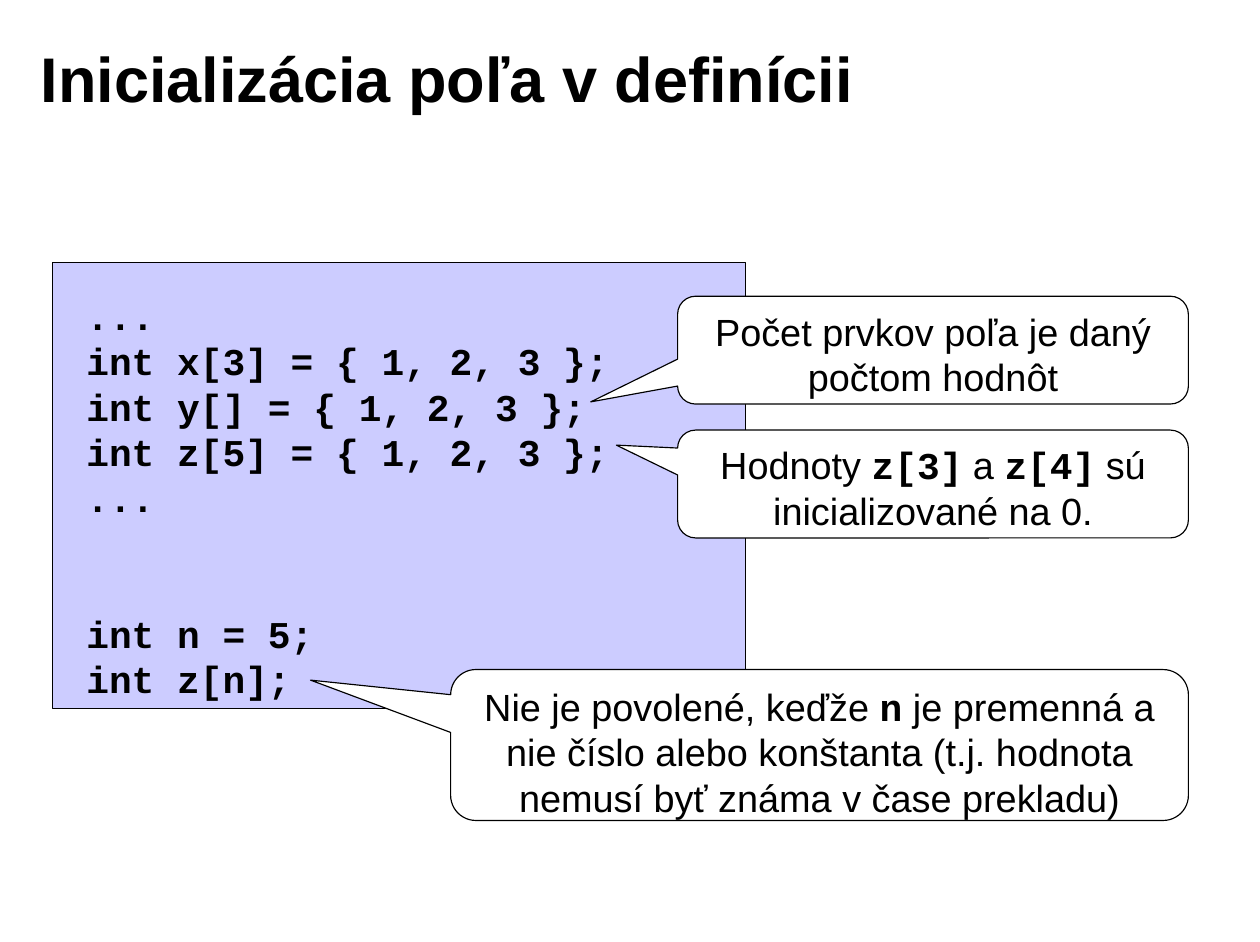
from pptx import Presentation
from pptx import util as u
from pptx.dml.color import RGBColor
from pptx.enum import shapes, text

W, H = u.Inches(11.1), u.Inches(8.3)
SANS, MONO = "Arial", "Courier New"
COLORS = {"ink": "000000", "code": "CCCCFF", "note": "FFFFFF"}
BODY = 24
LEADING = 1.2
RIGHT = 94.32


def rgb(name):
    """Look up a palette colour."""
    return RGBColor.from_string(COLORS[name])


def box(left, top, width, height):
    """Turn percentages of the slide into lengths."""
    return [int(side * share / 100) for side, share in
            ((W, left), (H, top), (W, width), (H, height))]


def set_frame(sp, anchor=text.MSO_ANCHOR.TOP):
    """Set wrapping, margins and anchor, and return the text frame."""
    tf = sp.text_frame
    tf.word_wrap = True
    tf.margin_left = tf.margin_right = u.Inches(0.11)
    tf.margin_top = tf.margin_bottom = u.Inches(0.06)
    tf.vertical_anchor = anchor
    return tf


def set_leading(p, size):
    """Fix the line pitch in proportion to the text size."""
    p.line_spacing = u.Pt(size * LEADING)


def add_run(p, words, font=SANS, size=BODY, bold=False):
    """Append one formatted run."""
    r = p.add_run()
    r.text = words
    r.font.name, r.font.size, r.font.bold = font, u.Pt(size), bold
    r.font.color.rgb = rgb("ink")


def add_panel(s, kind, area, fill):
    """Add a filled shape with a thin outline."""
    sp = s.shapes.add_shape(kind, *box(*area))
    sp.shadow.inherit = False
    sp.fill.solid()
    sp.fill.fore_color.rgb = rgb(fill)
    sp.line.color.rgb = rgb("ink")
    sp.line.width = u.Pt(0.75)
    return sp


def add_title(s, words, area, size=40):
    """Add the slide heading."""
    tf = set_frame(s.shapes.add_textbox(*box(*area)), text.MSO_ANCHOR.MIDDLE)
    p = tf.paragraphs[0]
    set_leading(p, size)
    add_run(p, words, size=size, bold=True)


def add_code(s, blocks, area, gap_lines=2):
    """Add code blocks separated by a gap of whole lines."""
    tf = set_frame(s.shapes.add_textbox(*box(*area)))
    p = tf.paragraphs[0]
    for b, block in enumerate(blocks):
        for i, line in enumerate(block):
            if b or i:
                p = tf.add_paragraph()
            if b and not i:
                p.space_before = u.Pt(gap_lines * BODY * LEADING)
            set_leading(p, BODY)
            add_run(p, line, MONO, bold=True)


def add_callout(s, left, top, height, pointer, parts):
    """Add a callout ending at the right margin; odd parts are code."""
    sp = add_panel(s, shapes.MSO_SHAPE.ROUNDED_RECTANGULAR_CALLOUT,
                   (left, top, RIGHT - left, height), "note")
    for i, value in enumerate((*pointer, 0.167)):
        sp.adjustments[i] = value
    p = set_frame(sp).paragraphs[0]
    p.alignment = text.PP_ALIGN.CENTER
    set_leading(p, BODY)
    for i, words in enumerate(parts):
        is_code = i % 2 == 1
        add_run(p, words, MONO if is_code else SANS, bold=is_code)


def main():
    """Build the slide on array initialisation."""
    prs = Presentation()
    prs.slide_width, prs.slide_height = W, H
    s = prs.slides.add_slide(prs.slide_layouts[6])
    add_title(s, "Inicializácia poľa v definícii", (2.25, 2.05, 80.27, 12.29))
    add_panel(s, shapes.MSO_SHAPE.RECTANGLE, (4.14, 27.83, 55.05, 47.35), "code")
    add_code(s, [
        ["...", "int x[3] = { 1, 2, 3 };", "int y[] = { 1, 2, 3 };",
         "int z[5] = { 1, 2, 3 };", "..."],
        ["int n = 5;", "int z[n];"],
    ], (5.86, 30.36, 52.52, 44.7))
    add_callout(s, 53.78, 31.45, 11.45, (-0.67, 0.48),
                ["Počet prvkov poľa je daný počtom hodnôt"])
    add_callout(s, 53.78, 45.66, 11.45, (-0.62, -0.36),
                ["Hodnoty ", "z[3]", " a ", "z[4]", " sú inicializované na 0."])
    add_callout(s, 35.77, 71.08, 16.02, (-0.69, -0.43),
                ["Nie je povolené, keďže ", "n",
                 " je premenná a nie číslo alebo konštanta "
                 "(t.j. hodnota nemusí byť známa v čase prekladu)"])
    prs.save("out.pptx")


if __name__ == "__main__":
    main()
